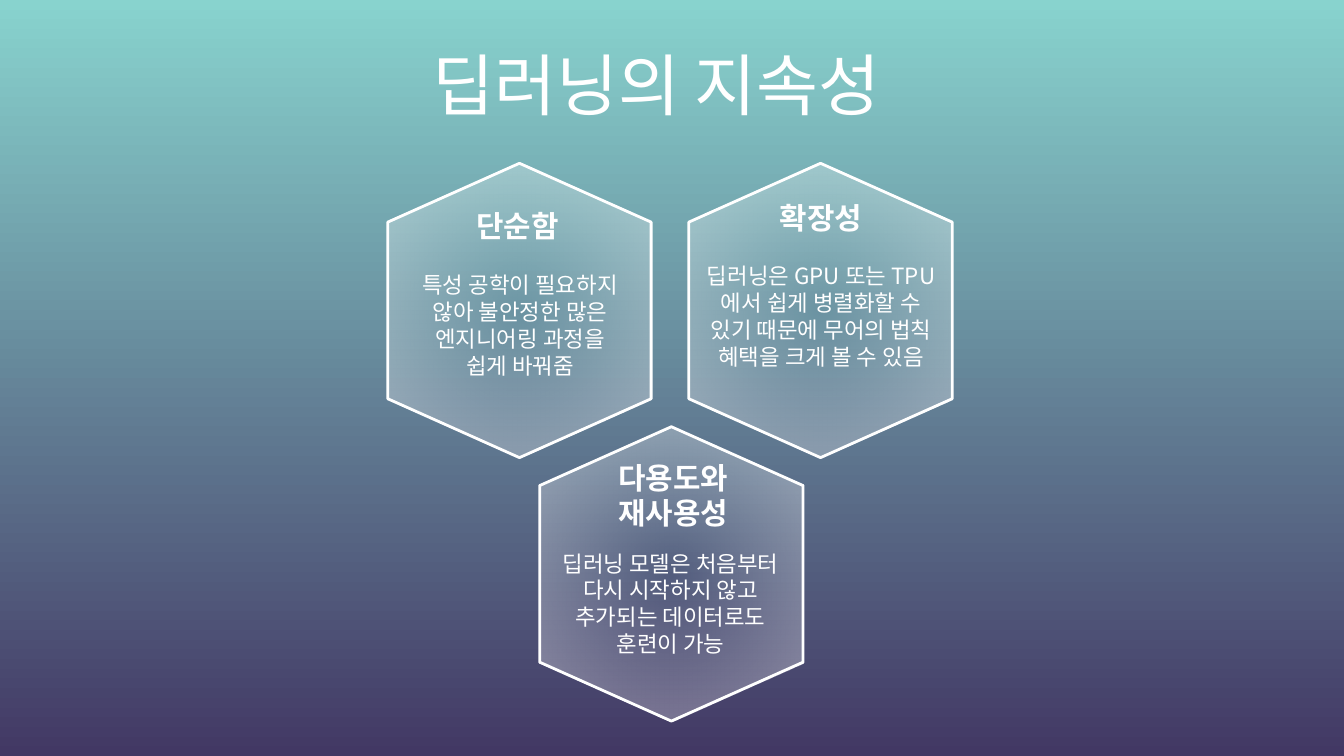
import pptx
import pptx.util
import pptx.dml.color
import pptx.enum.shapes
import pptx.enum.text
import pptx.oxml
import pptx.oxml.ns
import lxml.etree

Inches = pptx.util.Inches
RGBColor = pptx.dml.color.RGBColor
ANCHOR = pptx.enum.text.MSO_ANCHOR
ALIGN = pptx.enum.text.PP_ALIGN
qn = pptx.oxml.ns.qn

WHITE = RGBColor(0xFF, 0xFF, 0xFF)
TEAL = RGBColor(0x88, 0xD3, 0xCE)
PURPLE = RGBColor(0x42, 0x38, 0x64)
FONT = "Noto Sans CJK KR"

prs = pptx.Presentation()
prs.slide_width = Inches(10)
prs.slide_height = Inches(10) * 9 // 16
s = prs.slides.add_slide(prs.slide_layouts[6])

bg = s.background.fill
bg.gradient()
bg.gradient_angle = 270
for stop, color in zip(bg.gradient_stops, (TEAL, PURPLE)):
    stop.color.rgb = color


def add_hexagon(left, top):
    sp = s.shapes.add_shape(
        pptx.enum.shapes.MSO_SHAPE.FLOWCHART_PREPARATION,
        Inches(left), Inches(top), Inches(2.19), Inches(1.96))
    sp.rotation = 90
    sp.shadow.inherit = False
    sp.line.color.rgb = WHITE
    sp.line.width = pptx.util.Pt(1.5)
    sp.fill.gradient()
    for stop in sp.fill.gradient_stops:
        stop.color.rgb = WHITE
    grad = sp._element.spPr.find(qn("a:gradFill"))
    for clr, alpha in zip(grad.iter(qn("a:srgbClr")), (0, 39)):
        lxml.etree.SubElement(clr, qn("a:alpha"), val=str(alpha * 1000))
    circle = lxml.etree.Element(qn("a:path"), path="circle")
    lxml.etree.SubElement(circle, qn("a:fillToRect"),
                          {side: "50000" for side in "ltrb"})
    grad.replace(grad.find(qn("a:lin")), circle)


def add_text(text, box, size, anchor, align, bold=False):
    sp = s.shapes.add_textbox(*[Inches(v) for v in box])
    tf = sp.text_frame
    frame = {"word_wrap": True, "vertical_anchor": anchor}
    for side in ("left", "top", "right", "bottom"):
        frame["margin_" + side] = Inches(0.1)
    for name, value in frame.items():
        setattr(tf, name, value)
    p = tf.paragraphs[0]
    p.alignment = align
    r = p.add_run()
    r.text = text
    for name, value in {"name": FONT, "size": pptx.util.Pt(size), "bold": bold}.items():
        setattr(r.font, name, value)
    r.font.color.rgb = WHITE
    lxml.etree.SubElement(r._r.get_or_add_rPr(), qn("a:ea"), typeface=FONT)


add_text("딥러닝의 지속성", (3.12, 0.29, 3.58, 0.73), 36, ANCHOR.BOTTOM, ALIGN.LEFT)

traits = [
    ((2.77, 1.33),
     "단순함", (3.12, 1.51, 1.46, 0.4),
     "특성 공학이 필요하지 않아 불안정한 많은 엔지니어링 과정을 쉽게 바꿔줌",
     (3.01, 1.92, 1.72, 0.96)),
    ((5.01, 1.33),
     "확장성", (5.38, 1.45, 1.46, 0.4),
     "딥러닝은 GPU 또는 TPU에서 쉽게 병렬화할 수 있기 때문에 무어의 법칙 혜택을 크게 볼 수 있음",
     (5.13, 1.85, 1.96, 1.03)),
    ((3.9, 3.29),
     "다용도와 재사용성", (4.28, 3.65, 1.46, 0.4),
     "딥러닝 모델은 처음부터 다시 시작하지 않고 추가되는 데이터로도 훈련이 가능",
     (4.01, 3.99, 1.96, 0.86)),
]
for corner, heading, heading_box, body, body_box in traits:
    add_hexagon(*corner)
    add_text(heading, heading_box, 16, ANCHOR.BOTTOM, ALIGN.CENTER, bold=True)
    add_text(body, body_box, 12, ANCHOR.TOP, ALIGN.CENTER)

prs.save("out.pptx")
